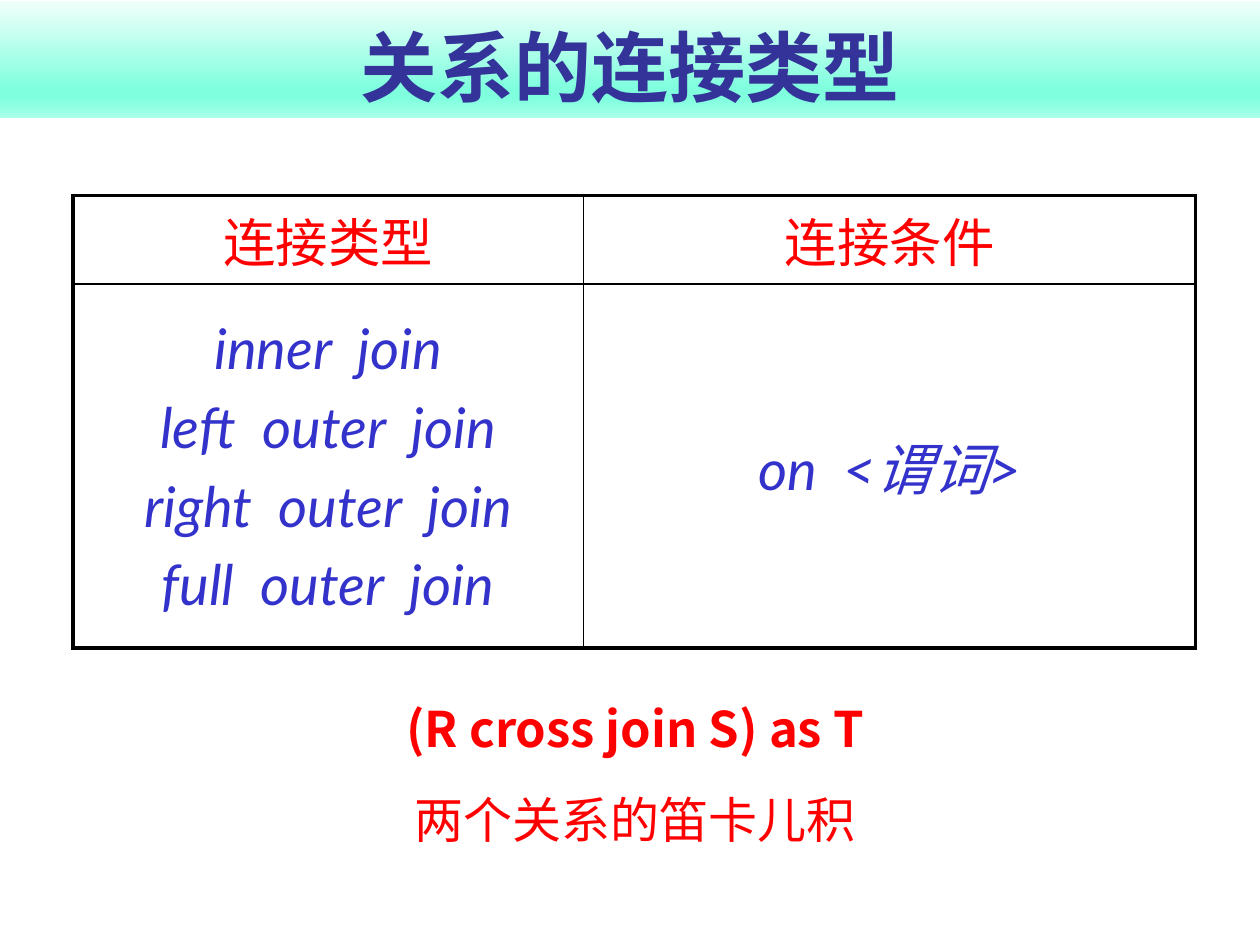
from lxml import etree
from pptx import Presentation
from pptx import util as u
from pptx.dml.color import RGBColor
from pptx.enum import shapes, text
from pptx.oxml import ns

COLORS = {
    "title": "333399",
    "heading": "FF0000",
    "body": "3333CC",
    "border": "000000",
}
BAND_STOPS = [(0, "F1FFFB"), (74, "80FFDE"), (83, "80FFDE"), (100, "AAFFE9")]
LATIN_FONT = "Lato"
CHINESE_FONT = "Noto Sans CJK SC"
THICK, THIN = 2.25, 1

JOIN_TYPES = ["inner  join", "left  outer  join", "right  outer  join", "full  outer  join"]


def add_color(parent, color):
    etree.SubElement(parent, ns.qn("a:srgbClr"), val=color)


def write_paragraph(paragraph, content, size, color, font=LATIN_FONT, bold=False,
                    italic=False, space_before=0, line_spacing=None):
    paragraph.alignment = text.PP_ALIGN.CENTER
    paragraph.space_before = u.Pt(space_before)
    paragraph.line_spacing = line_spacing
    run = paragraph.add_run()
    run.text = content
    run.font.size = u.Pt(size)
    run.font.name = font
    run.font.bold = bold
    run.font.italic = italic
    run.font.color.rgb = RGBColor.from_string(COLORS[color])
    properties = run.font._element
    etree.SubElement(properties, ns.qn("a:ea"), typeface=CHINESE_FONT)


def write_lines(frame, lines, **style):
    for index, line in enumerate(lines):
        paragraph = frame.add_paragraph() if index else frame.paragraphs[0]
        write_paragraph(paragraph, line, **style)


def fill_gradient(shape, stops):
    shape.fill.gradient()
    shape.fill.gradient_angle = 270
    stop_list = shape._element.spPr.find(".//" + ns.qn("a:gsLst"))
    for stop in list(stop_list):
        stop_list.remove(stop)
    for position, color in stops:
        stop = etree.SubElement(stop_list, ns.qn("a:gs"), pos=str(position * 1000))
        add_color(stop, color)


def add_title_band(slide, title):
    band = slide.shapes.add_shape(
        shapes.MSO_SHAPE.RECTANGLE, 0, u.Inches(0.01), u.Inches(10), u.Inches(0.93))
    band.shadow.inherit = False
    band.line.fill.background()
    fill_gradient(band, BAND_STOPS)
    band.text_frame.word_wrap = True
    band.text_frame.vertical_anchor = text.MSO_ANCHOR.BOTTOM
    write_lines(band.text_frame, [title], size=44, color="title", bold=True)


def set_borders(cell, widths):
    properties = cell._tc.get_or_add_tcPr()
    for index, (side, width) in enumerate(widths.items()):
        line = etree.Element(ns.qn(f"a:ln{side}"), w=str(u.Pt(width)))
        add_color(etree.SubElement(line, ns.qn("a:solidFill")), COLORS["border"])
        properties.insert(index, line)


def add_join_table(slide, rows, column_widths, row_heights):
    frame = slide.shapes.add_table(
        len(rows), len(column_widths), u.Inches(0.58), u.Inches(1.55),
        u.Inches(sum(column_widths)), u.Inches(sum(row_heights)))
    table = frame.table
    table.first_row = False
    table.horz_banding = False
    for column, width in zip(table.columns, column_widths):
        column.width = u.Inches(width)
    for row, height in zip(table.rows, row_heights):
        row.height = u.Inches(height)

    styles = [dict(size=30, color="heading"), dict(size=32, color="body", italic=True)]
    last_row, last_column = len(rows) - 1, len(column_widths) - 1
    for row, (contents, style) in enumerate(zip(rows, styles)):
        for column, lines in enumerate(contents):
            cell = table.cell(row, column)
            cell.fill.background()
            cell.vertical_anchor = text.MSO_ANCHOR.MIDDLE
            write_lines(cell.text_frame, lines, space_before=style["size"] * 0.2, **style)
            set_borders(cell, {
                "L": THICK if column == 0 else THIN,
                "R": THICK if column == last_column else THIN,
                "T": THICK if row == 0 else THIN,
                "B": THICK if row == last_row else THIN,
            })


def add_cross_join_note(slide):
    box = slide.shapes.add_textbox(
        u.Inches(1.9), u.Inches(5.4), u.Inches(6.28), u.Inches(1.33))
    frame = box.text_frame
    frame.word_wrap = True
    style = dict(size=28, color="heading", font=CHINESE_FONT, space_before=12, line_spacing=1.2)
    write_paragraph(frame.paragraphs[0], "(R cross join S) as T", bold=True, **style)
    write_paragraph(frame.add_paragraph(), "两个关系的笛卡儿积", **style)


def main():
    presentation = Presentation()
    presentation.slide_width = u.Inches(10)
    presentation.slide_height = u.Inches(7.5)
    slide = presentation.slides.add_slide(presentation.slide_layouts[6])
    add_title_band(slide, "关系的连接类型")
    rows = [[["连接类型"], ["连接条件"]], [JOIN_TYPES, ["on  <谓词>"]]]
    add_join_table(slide, rows, column_widths=[4.05, 4.86], row_heights=[0.69, 2.89])
    add_cross_join_note(slide)
    presentation.save("out.pptx")


if __name__ == "__main__":
    main()
